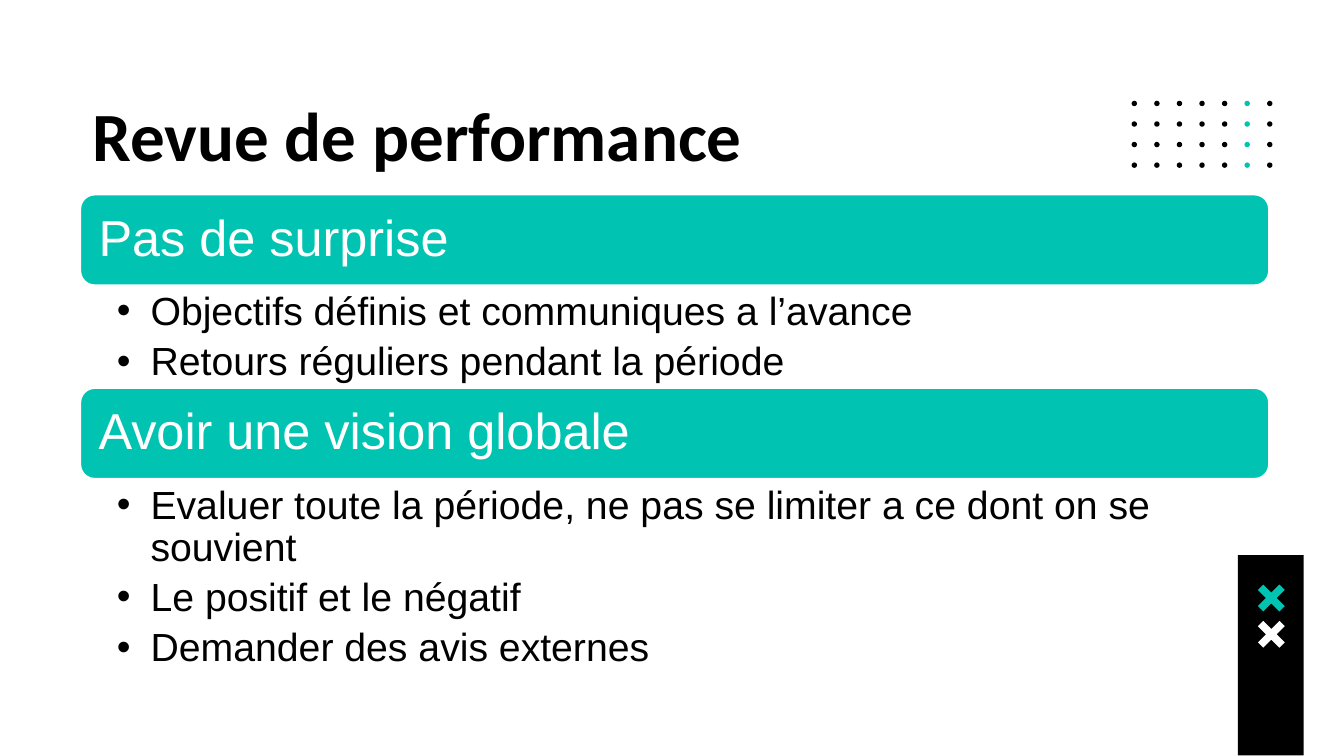
"""Build the performance review slide with two headed lists."""
from lxml import etree
from pptx import Presentation
from pptx.dml.color import RGBColor
from pptx.enum import shapes, text
from pptx.oxml import ns
from pptx.util import Inches, Pt

COLORS = {"teal": "00C3B1", "black": "000000", "white": "FFFFFF"}
LEFT, WIDTH = 0.59, 8.86
BAND_HEIGHT = 0.69
SECTIONS = [
    ("Pas de surprise", 1.44, 0.75, [
        "Objectifs définis et communiques a l’avance",
        "Retours réguliers pendant la période",
    ]),
    ("Avoir une vision globale", 2.88, 1.44, [
        "Evaluer toute la période, ne pas se limiter a ce dont on se souvient",
        "Le positif et le négatif",
        "Demander des avis externes",
    ]),
]
CROSS = [(0.04, 0), (0, 0.04), (0.06, 0.1), (0, 0.16), (0.04, 0.2), (0.1, 0.14),
         (0.16, 0.2), (0.2, 0.16), (0.14, 0.1), (0.2, 0.04), (0.16, 0), (0.1, 0.06)]


def rgb(name):
    return RGBColor.from_string(COLORS[name])


def paint(shape, fill, line=None):
    shape.shadow.inherit = False
    shape.fill.solid()
    shape.fill.fore_color.rgb = rgb(fill)
    if line:
        shape.line.color.rgb = rgb(line)
        shape.line.width = Pt(2)
    else:
        shape.line.fill.background()


def place(shape, left, top, width, height):
    shape.left, shape.top = Inches(left), Inches(top)
    shape.width, shape.height = Inches(width), Inches(height)


def add_bullet(paragraph):
    paragraph.level = 1
    properties = paragraph._p.get_or_add_pPr()
    properties.set("marL", str(Inches(0.25)))
    properties.set("indent", str(-Inches(0.25)))
    color = etree.SubElement(properties, ns.qn("a:buClr"))
    etree.SubElement(color, ns.qn("a:srgbClr"), val=COLORS["black"])
    etree.SubElement(properties, ns.qn("a:buFont"), typeface="Arial")
    etree.SubElement(properties, ns.qn("a:buChar"), char="•")


def write(shape, lines, *, size, font="Arial", color="black", bold=False, bullets=False,
          anchor=text.MSO_ANCHOR.TOP, insets=(0.1, 0.1, 0.1, 0.1), spacing=1.0, after=0):
    frame = shape.text_frame
    frame.word_wrap = True
    frame.auto_size = text.MSO_AUTO_SIZE.NONE
    frame.vertical_anchor = anchor
    (frame.margin_left, frame.margin_top,
     frame.margin_right, frame.margin_bottom) = map(Inches, insets)
    frame.text = "\n".join(lines)
    for paragraph in frame.paragraphs:
        if bullets:
            add_bullet(paragraph)
        paragraph.alignment = text.PP_ALIGN.LEFT
        paragraph.line_spacing = spacing
        paragraph.space_before = Pt(0)
        paragraph.space_after = Pt(after)
        paragraph.font.name = font
        paragraph.font.size = Pt(size)
        paragraph.font.bold = bold
        paragraph.font.color.rgb = rgb(color)


def add_box(slide, preset, left, top, width, height, fill, line=None):
    box = slide.shapes.add_shape(preset, *map(Inches, (left, top, width, height)))
    paint(box, fill, line)
    return box


def add_dot_grid(slide):
    for row in range(4):
        for column in range(7):
            add_box(slide, shapes.MSO_SHAPE.OVAL, 8.42 + column * 0.168,
                    0.75 + row * 0.153, 0.04, 0.04, "teal" if column == 5 else "black")


def add_cross(slide, left, top, fill):
    points = [(Inches(left + x), Inches(top + y)) for x, y in CROSS]
    outline = slide.shapes.build_freeform(*points[0])
    outline.add_line_segments(points[1:], close=True)
    paint(outline.convert_to_shape(), fill)


def add_section(slide, items_box, heading, top, items_height, items):
    band = add_box(slide, shapes.MSO_SHAPE.ROUNDED_RECTANGLE,
                   LEFT, top, WIDTH, BAND_HEIGHT, "teal", "white")
    write(band, [heading], size=27, color="white", anchor=text.MSO_ANCHOR.MIDDLE,
          insets=(0.11, 0.11, 0.11, 0.11), spacing=0.9)
    place(items_box, LEFT, top + BAND_HEIGHT, WIDTH, items_height)
    write(items_box, items, size=21, bullets=True, insets=(0.28, 0.04, 0.21, 0.04),
          spacing=0.9, after=4.2)


def main():
    deck = Presentation()
    deck.slide_width = Inches(10)
    deck.slide_height = deck.slide_width * 9 // 16
    slide = deck.slides.add_slide(deck.slide_layouts.get_by_name("Two Content"))
    title, *item_boxes = slide.placeholders

    add_dot_grid(slide)
    add_box(slide, shapes.MSO_SHAPE.RECTANGLE, 9.21, 4.13, 0.49, 1.49, "black")
    add_cross(slide, 9.36, 4.35, "teal")
    add_cross(slide, 9.36, 4.62, "white")

    place(title, LEFT, 0.59, WIDTH, 0.79)
    write(title, ["Revue de performance"], size=37, font="Calibri", bold=True)
    for items_box, section in zip(item_boxes, SECTIONS):
        add_section(slide, items_box, *section)
    deck.save("out.pptx")


if __name__ == "__main__":
    main()
